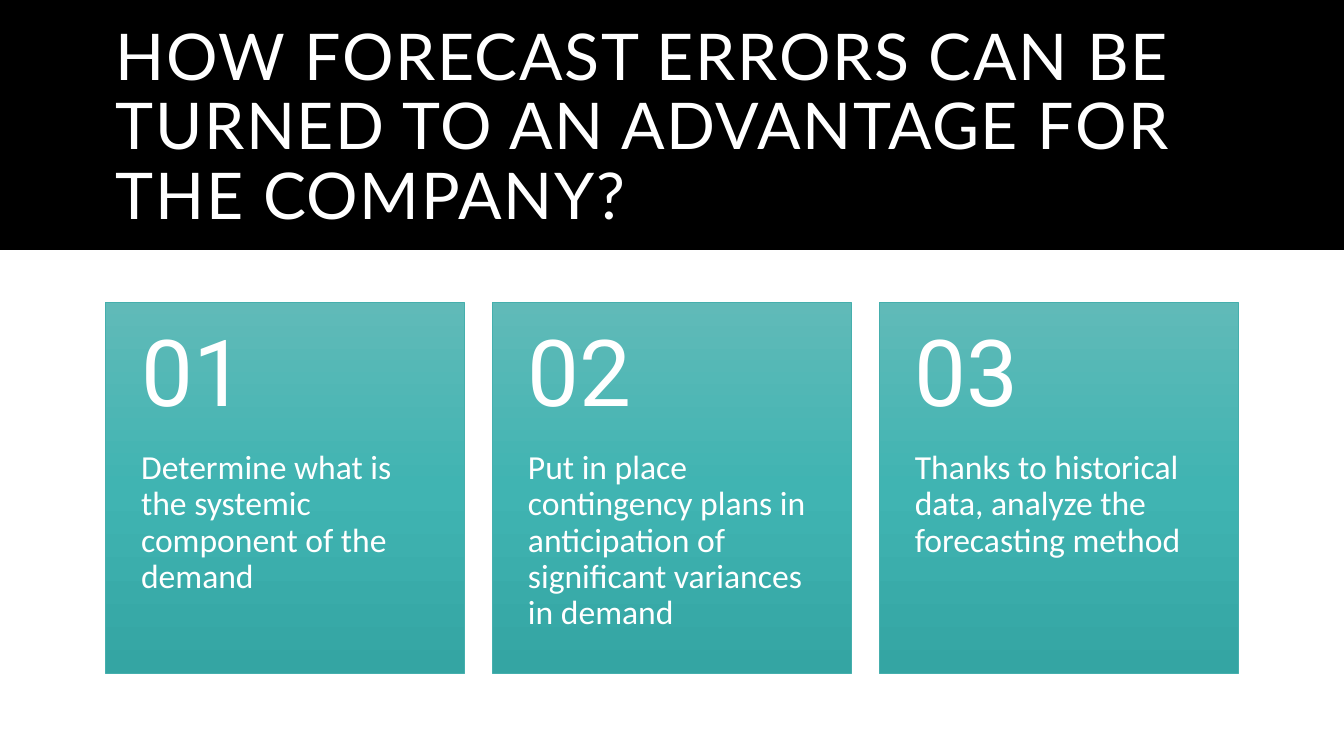
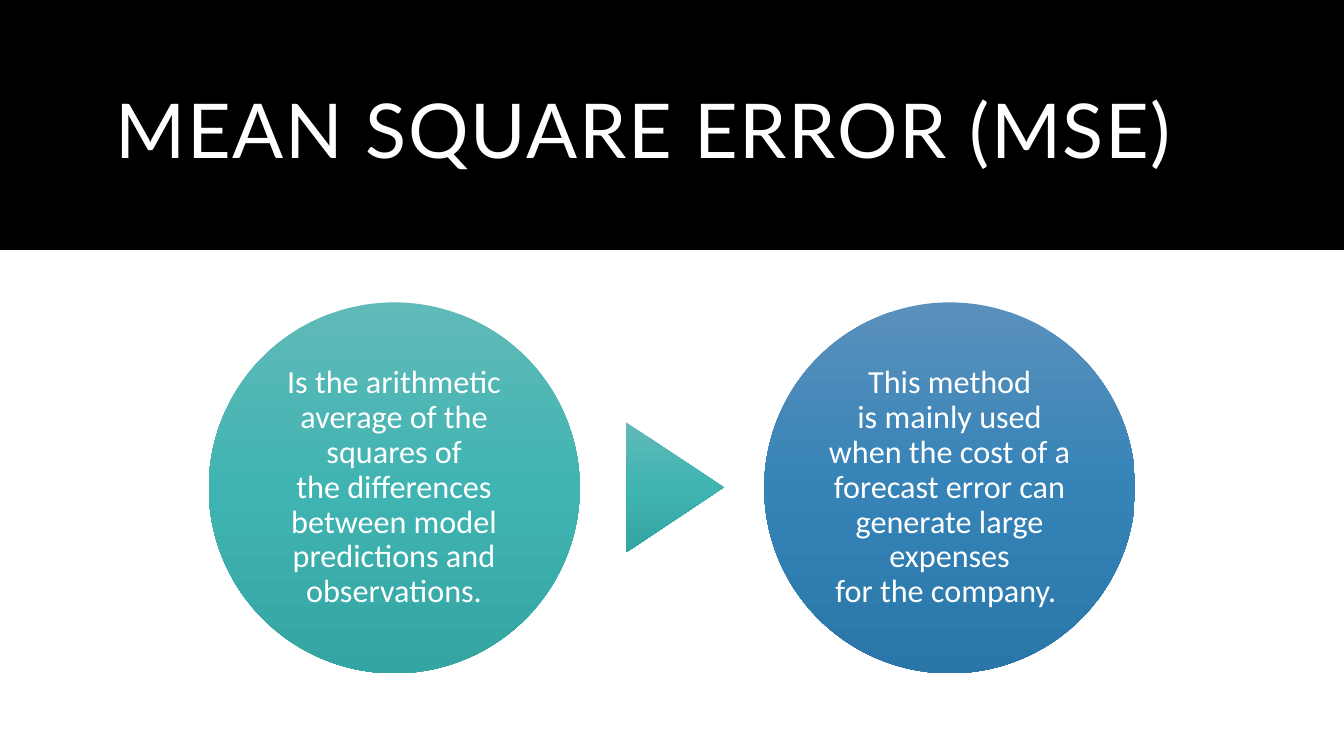
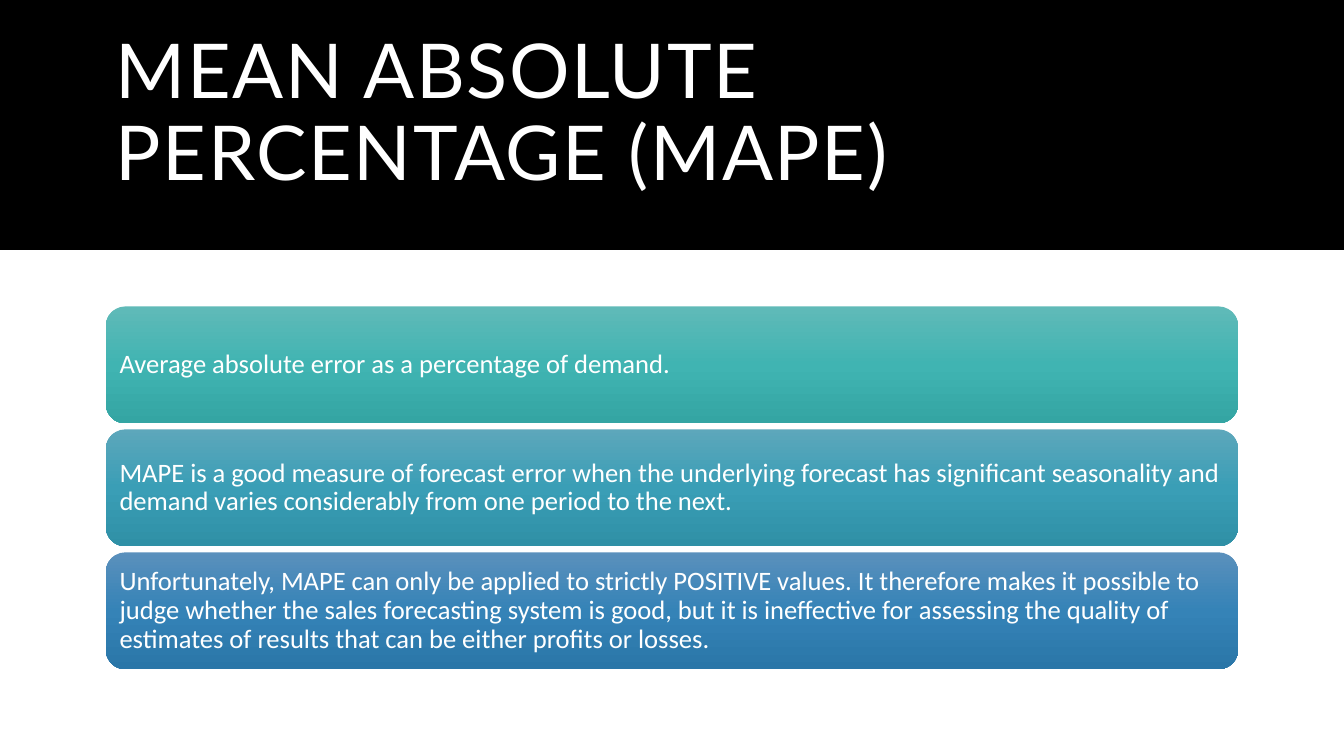
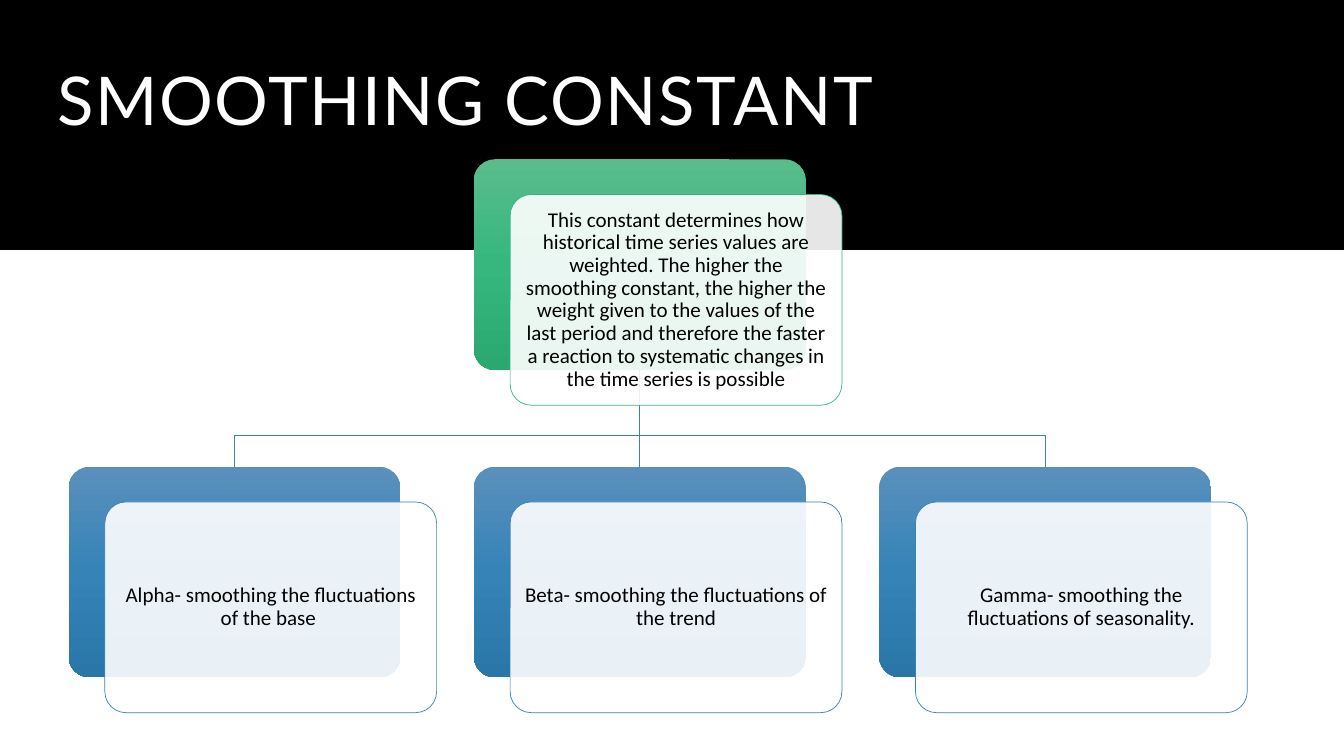
from copy import deepcopy

from pptx import Presentation
from pptx.dml.color import RGBColor
from pptx.enum.shapes import MSO_CONNECTOR, MSO_SHAPE
from pptx.enum.text import MSO_ANCHOR, PP_ALIGN
from pptx.oxml.ns import qn
from pptx.oxml.xmlchemy import OxmlElement
from pptx.util import Inches, Pt

SLIDE_W, SLIDE_H = 13.33, 7.5
LEFT, WIDTH = 1.05, 11.23          # content column
TOP, HEIGHT = 3, 3.68              # content row below the band
BAND_H = 2.48
NBSP = chr(160)                    # keeps two words on one line

WHITE, BLACK = "FFFFFF", "000000"
TEAL = ("60BAB8", "40B4B2", "34A5A3")
CYAN = ("5DA7BB", "3A9EB6", "2F90A6")
BLUE = ("5A90BC", "3583B7", "2A76A8")
GREEN = ("5ABC8C", "35B77E", "2AA870")
TEAL_LINE, BLUE_LINE, GREEN_LINE = "45AFAD", "3B82B1", "3BB17D"


def rgb(color):
    return RGBColor.from_string(color)


def set_gradient(sp, colors):
    """Fill from top to bottom with three evenly spaced colours."""
    sp.fill.gradient()
    sp.fill.gradient_angle = 270
    grad = sp._element.spPr.find(qn("a:gradFill"))
    grad.set("rotWithShape", "0")
    first = grad.find(qn("a:gsLst"))[0]
    first.addnext(deepcopy(first))
    for i, (stop, color) in enumerate(zip(sp.fill.gradient_stops, colors)):
        stop.color.rgb = rgb(color)
        stop.position = i / 2


def set_line(sp, color):
    if color:
        sp.line.color.rgb = rgb(color)
        sp.line.width = Pt(0.5)
    else:
        sp.line.fill.background()


def add_box(s, kind, x, y, w, h, fill, line=None):
    """Add a preset shape; fill is one colour or a gradient's three."""
    sp = s.shapes.add_shape(kind, Inches(x), Inches(y), Inches(w), Inches(h))
    sp.shadow.inherit = False
    if isinstance(fill, str):
        sp.fill.solid()
        sp.fill.fore_color.rgb = rgb(fill)
    else:
        set_gradient(sp, fill)
    set_line(sp, line)
    return sp


def write(sp, text, size, margins, color=WHITE, font="Calibri",
          align=PP_ALIGN.LEFT, anchor=MSO_ANCHOR.MIDDLE):
    """Set the text of a shape; margins are left, top, right, bottom."""
    tf = sp.text_frame
    tf.word_wrap = True
    tf.vertical_anchor = anchor
    tf.margin_left, tf.margin_top, tf.margin_right, tf.margin_bottom = map(Inches, margins)
    p = tf.paragraphs[0]
    p.alignment = align
    p.line_spacing = 0.9
    r = p.add_run()
    r.text = text
    p.font.name, p.font.size = font, Pt(size)
    p.font.color.rgb = rgb(color)
    return r


def add_text(s, x, y, w, h, text, size, margins, **style):
    sp = s.shapes.add_textbox(Inches(x), Inches(y), Inches(w), Inches(h))
    return write(sp, text, size, margins, **style)


def add_titled_slide(prs, title, size, x=LEFT, y=0.35):
    s = prs.slides.add_slide(prs.slide_layouts[6])
    add_box(s, MSO_SHAPE.RECTANGLE, 0, 0, SLIDE_W, BAND_H, BLACK)
    r = add_text(s, x, y, WIDTH, 1.86, title, size, (0.1, 0.05, 0.1, 0.05), font="Lato")
    r.font._element.set("spc", "120")
    return s


def add_cards(s, texts):
    gap, number_h = 0.28, 1.47
    w = (WIDTH - gap * (len(texts) - 1)) / len(texts)
    for i, text in enumerate(texts):
        x = LEFT + i * (w + gap)
        card = add_box(s, MSO_SHAPE.RECTANGLE, x, TOP, w, HEIGHT, TEAL, TEAL_LINE)
        write(card, text, 24, (0.35, number_h, 0.35, 0.36), anchor=MSO_ANCHOR.TOP)
        add_text(s, x, TOP, w, number_h, f"{i + 1:02}", 66,
                 (0.35, 0.18, 0.35, 0.18), font="Roboto")


def add_circle(s, x, text, fill):
    circle = add_box(s, MSO_SHAPE.OVAL, x, TOP, HEIGHT, HEIGHT, fill)
    write(circle, text, 23, (0.03,) * 4, align=PP_ALIGN.CENTER)


def add_bars(s, items):
    h, pitch = 1.16, 1.22
    for i, (text, fill) in enumerate(items):
        bar = add_box(s, MSO_SHAPE.ROUNDED_RECTANGLE, LEFT, 3.04 + i * pitch, WIDTH, h, fill)
        write(bar, text, 19, (0.08,) * 4)


def add_elbow(s, parent, child):
    """Draw a bent line from a parent's bottom to a child's top."""
    x1, y1 = parent.left + parent.width // 2, parent.top + parent.height
    x2, y2 = child.left + child.width // 2, child.top
    bend = y1 + int((y2 - y1) * 0.68)
    path = s.shapes.build_freeform(x1, y1)
    path.add_line_segments([(x1, bend), (x2, bend), (x2, y2)], close=False)
    sp = path.convert_to_shape()
    sp.shadow.inherit = False
    sp.fill.background()
    set_line(sp, BLUE_LINE)


def add_straight(s, parent, child):
    c = s.shapes.add_connector(MSO_CONNECTOR.STRAIGHT, 0, 0, 0, 0)
    c.begin_connect(parent, 2)
    c.end_connect(child, 0)
    set_line(c, BLUE_LINE)
    c._element.spPr.append(OxmlElement("a:effectLst"))


def add_tree(s, root_text, child_texts):
    """Draw a root over its children, each a panel on an offset backing."""
    x0, pitch, w, h = 0.68, 4.02, 3.29, 2.09
    dx, dy = 0.36, 0.35
    nodes = [(x0 + pitch, 1.58, root_text, GREEN, GREEN_LINE)]
    nodes += [(x0 + i * pitch, 4.63, text, BLUE, BLUE_LINE)
              for i, text in enumerate(child_texts)]

    def rounded(*args):
        sp = add_box(s, MSO_SHAPE.ROUNDED_RECTANGLE, *args)
        sp.adjustments[0] = 0.1
        return sp

    root, *children = [rounded(x, y, w, h, fill) for x, y, _, fill, _ in nodes]
    for child in children:
        join = add_straight if child.left == root.left else add_elbow
        join(s, root, child)
    for x, y, text, _, line in nodes:
        panel = rounded(x + dx, y + dy, w, h, WHITE, line)
        alpha = OxmlElement("a:alpha")
        alpha.set("val", "90000")
        panel._element.spPr.find(qn("a:solidFill"))[0].append(alpha)
        write(panel, text, 15, (0.06,) * 4, color=BLACK, align=PP_ALIGN.CENTER)


def main():
    prs = Presentation()
    prs.slide_width, prs.slide_height = Inches(SLIDE_W), Inches(SLIDE_H)

    s = add_titled_slide(
        prs, "HOW FORECAST ERRORS CAN BE TURNED TO AN ADVANTAGE FOR THE COMPANY?", 46)
    add_cards(s, [
        "Determine what is the systemic component of the demand",
        "Put in place contingency plans in anticipation of significant variances in demand",
        "Thanks to historical data, analyze the forecasting method",
    ])

    s = add_titled_slide(prs, "MEAN SQUARE ERROR (MSE)", 54, y=0.4)
    add_circle(s, 2.07, f"Is the arithmetic average of the squares of the{NBSP}differences "
               "between model predictions and observations.", TEAL)
    arrow = add_box(s, MSO_SHAPE.ISOSCELES_TRIANGLE, 6.05, 4.35, 1.29, 0.97, TEAL)
    arrow.rotation = 90
    add_circle(s, 7.58, f"This method is{NBSP}mainly used when the cost of a forecast error "
               f"can generate large expenses for{NBSP}the{NBSP}company.{NBSP}", BLUE)

    s = add_titled_slide(prs, "MEAN ABSOLUTE PERCENTAGE (MAPE)", 54, y=0.21)
    add_bars(s, [
        ("Average absolute error as a percentage of demand.", TEAL),
        ("MAPE is a good measure of forecast error when the underlying forecast has "
         "significant seasonality and demand varies considerably from one period to "
         "the next.", CYAN),
        ("Unfortunately, MAPE can only be applied to strictly POSITIVE values. It "
         "therefore makes it possible to judge whether the sales forecasting system is "
         "good, but it is ineffective for assessing the quality of estimates of results "
         "that can be either profits or losses.", BLUE),
    ])

    s = add_titled_slide(prs, "SMOOTHING CONSTANT", 48, x=0.47, y=0.1)
    add_tree(
        s,
        "This constant determines how historical time series values are weighted. The "
        "higher the smoothing constant, the higher the weight given to the values of the "
        "last period and therefore the faster a reaction to systematic changes in the "
        "time series is possible",
        [f"Alpha- smoothing the fluctuations of the base{NBSP}",
         "Beta- smoothing the fluctuations of the trend",
         "Gamma- smoothing the fluctuations of seasonality."])

    prs.save("out.pptx")


if __name__ == "__main__":
    main()
